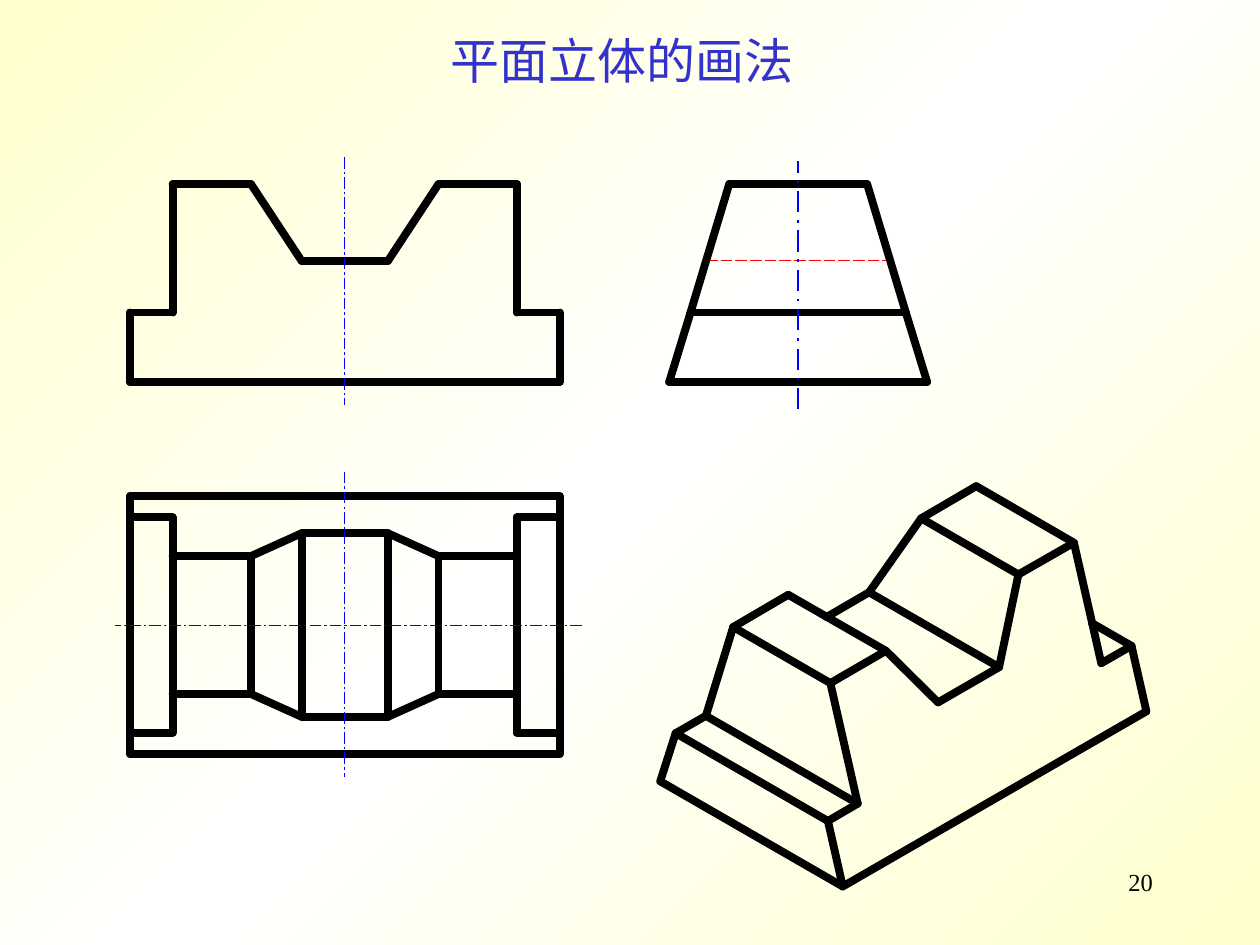
import copy

import pptx
import pptx.dml.color
import pptx.enum.dml
import pptx.enum.shapes
import pptx.enum.text
import pptx.oxml.ns
import pptx.util
from lxml import etree

Cm, Pt = pptx.util.Cm, pptx.util.Pt
qn = pptx.oxml.ns.qn
DASH = pptx.enum.dml.MSO_LINE.LONG_DASH
DASH_DOT = pptx.enum.dml.MSO_LINE.LONG_DASH_DOT
ALIGN = pptx.enum.text.PP_ALIGN

COLORS = {"outline": "000000", "axis": "0000FF", "notch": "FF0000",
          "title": "3333CC", "number": "000000"}
BACKGROUND = ["FFFFCC", "FFFFFF", "FFFFCC"]

# text, left, top, width, height, size, font, colour, alignment, wrap
TEXTS = [
    ("20", 18.21, 17.35, 5.28, 1.27, 14, "Times New Roman", "number", ALIGN.RIGHT, True),
    ("平面立体的画法", 8.83, 0.5, 7.42, 1.45, 28, "Noto Sans CJK SC", "title", ALIGN.CENTER, False),
]

# The solid, in cm: left half of the front profile as (x from the middle, height)
LEFT_PROFILE = [(-4.33, 0), (-4.33, 1.4), (-3.47, 1.4),
                (-3.47, 3.99), (-1.89, 3.99), (-0.87, 2.44)]
PROFILE = LEFT_PROFILE + [(-x, z) for x, z in reversed(LEFT_PROFILE)]
HALF_DEPTH = {0: 2.6, 1.4: 2.17, 2.44: 1.85, 3.99: 1.39}

# Where the views stand
FRONT_X, SIDE_X, BASE_Y, PLAN_Y = 6.95, 16.09, 7.7, 12.6
ISO_X, ISO_Y = 16.99, 17.87

# Edges seen in each view, as indexes into PROFILE
PLAN_CROSS = [1, 3, 4, 5, 6, 7, 8, 10]
ISO_CROSS = {0: 1, 1: 1, 2: 1, 3: 1, 4: 1, 6: 1, 7: 1, 8: 1, 10: 0.26}  # visible share
ISO_BACK = [(1, 0, 1), (2, 1, 1), (3, 2, 1), (4, 3, 1), (6, 5, 0.7), (7, 6, 1), (8, 7, 1)]

# start, end, width in points
AXES = [
    ((11.72, PLAN_Y), (2.33, PLAN_Y), 0),
    ((SIDE_X, 8.25), (SIDE_X, 3.25), 1.5),
    ((FRONT_X, 3.18), (FRONT_X, 8.15), 0),
    ((FRONT_X, 9.52), (FRONT_X, 15.65), 0),
]


def rgb(name):
    return pptx.dml.color.RGBColor.from_string(COLORS[name])


def front(x, y, z):
    return FRONT_X + x, BASE_Y - z


def side(x, y, z):
    return SIDE_X + y, BASE_Y - z


def plan(x, y, z):
    return FRONT_X + x, PLAN_Y + y


def isometric(x, y, z):
    """Project with the near left base corner at (ISO_X, ISO_Y)."""
    along, back = x - PROFILE[0][0], HALF_DEPTH[0] - y
    return (ISO_X + 0.707 * (along - back),
            ISO_Y - 0.408 * (along + back) - 0.816 * z)


def corner(i, face):
    """Corner i of the solid; face is 1 for near, -1 for far."""
    x, z = PROFILE[i]
    return x, face * HALF_DEPTH[z], z


def part(start, end, share):
    return tuple(a + (b - a) * share for a, b in zip(start, end))


def add_line(s, start, end, color="outline", width=4.5, dash=None):
    c = s.shapes.add_connector(pptx.enum.shapes.MSO_CONNECTOR.STRAIGHT,
                               *(Cm(round(v, 2)) for v in (*start, *end)))
    c.line.color.rgb = rgb(color)
    ln = c._element.spPr.find(qn("a:ln"))
    ln.set("w", str(Pt(width)))  # a hairline needs its zero written out
    if dash:
        c.line.dash_style = dash
    else:
        ln.set("cap", "rnd")
    etree.SubElement(c._element.spPr, qn("a:effectLst"))


def add_view(s, project, edges):
    for start, end in edges:
        add_line(s, project(*start), project(*end))


def add_text(s, text, left, top, width, height, size, font, color, align, wrap):
    tf = s.shapes.add_textbox(Cm(left), Cm(top), Cm(width), Cm(height)).text_frame
    tf.word_wrap = wrap
    p = tf.paragraphs[0]
    p.text = text
    p.alignment = align
    p.font.size = Pt(size)
    p.font.name = font
    p.font.color.rgb = rgb(color)
    etree.SubElement(p.font._element, qn("a:ea")).set("typeface", font)


def set_background(s):
    fill = s.background.fill
    fill.gradient()
    fill.gradient_angle = 315
    stops = s.element.find(".//" + qn("a:gsLst"))
    stops.append(copy.deepcopy(stops[0]))
    for i, (stop, color) in enumerate(zip(fill.gradient_stops, BACKGROUND)):
        stop.position = i / 2
        stop.color.rgb = pptx.dml.color.RGBColor.from_string(color)


def main():
    prs = pptx.Presentation()
    prs.slide_width, prs.slide_height = Cm(25.4), Cm(19.05)
    s = prs.slides.add_slide(prs.slide_layouts[6])
    set_background(s)

    ring = [(i, (i + 1) % len(PROFILE)) for i in range(len(PROFILE))]
    near, far = ([(corner(a, f), corner(b, f)) for a, b in ring] for f in (1, -1))
    cross = [(corner(i, 1), corner(i, -1)) for i in range(len(PROFILE))]
    slopes = [(corner(a, f), corner(b, f)) for f in (-1, 1) for a, b in ((3, 2), (1, 0))]
    iso_cross = [(cross[i][0], part(*cross[i], share)) for i, share in ISO_CROSS.items()]
    iso_back = [(corner(a, -1), part(corner(a, -1), corner(b, -1), share))
                for a, b, share in ISO_BACK]

    add_view(s, front, near)
    add_view(s, plan, near + far + [cross[i] for i in PLAN_CROSS])
    add_line(s, side(*corner(5, -1)), side(*corner(5, 1)), "notch", 0, DASH)
    add_view(s, side, slopes + [cross[i] for i in (3, 1, 0)])
    add_view(s, isometric, near + iso_cross + iso_back)

    for start, end, width in AXES:
        add_line(s, start, end, "axis", width, DASH_DOT)
    for text in TEXTS:
        add_text(s, *text)
    prs.save("out.pptx")


if __name__ == "__main__":
    main()
